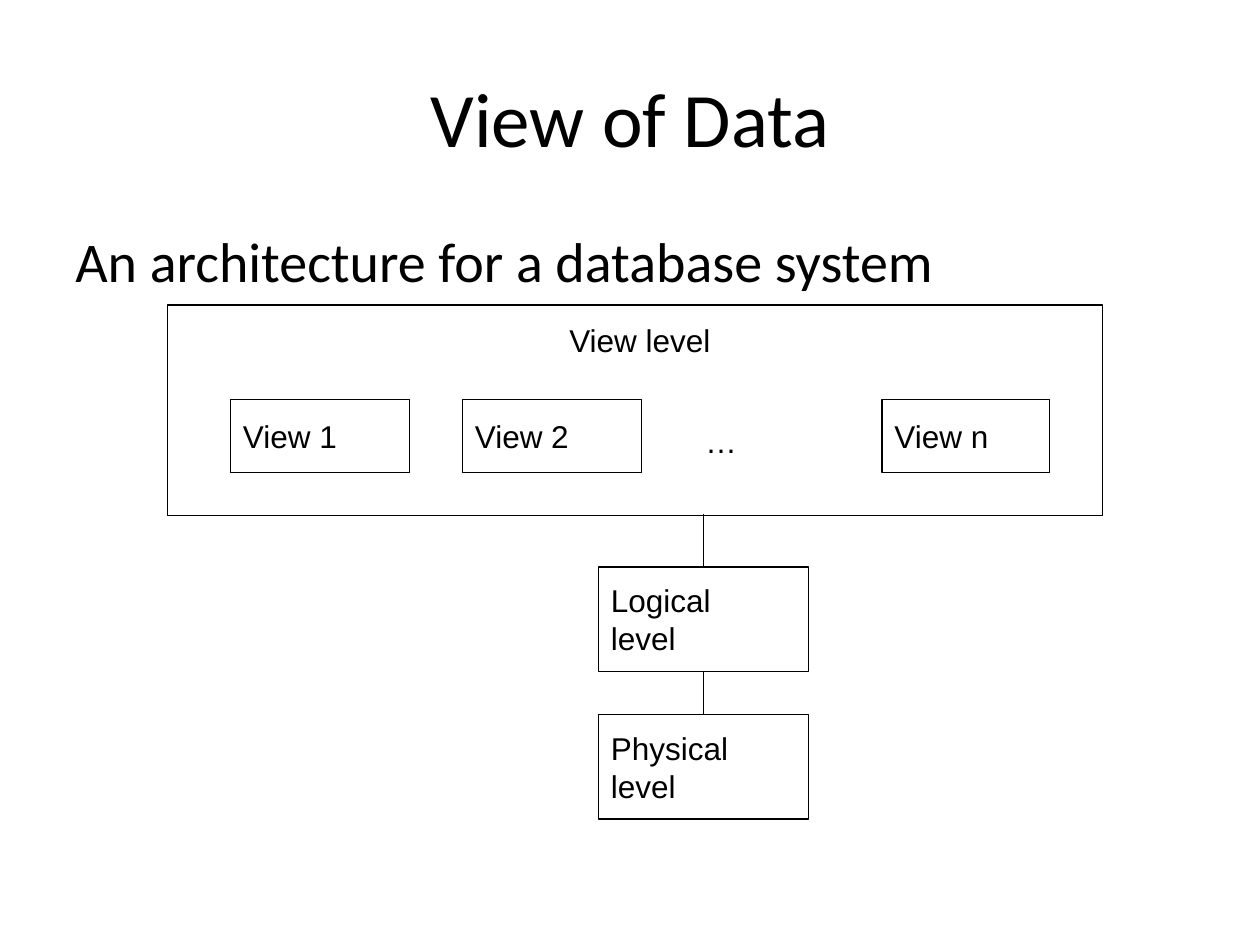
from dataclasses import dataclass

from lxml import etree
from pptx import Presentation
from pptx.dml.color import RGBColor
from pptx.enum import shapes, text
from pptx.oxml import ns
from pptx.util import Inches, Pt


@dataclass(frozen=True)
class Theme:
    """Colours, fonts and sizes of the slide."""
    ink: RGBColor = RGBColor(0, 0, 0)
    head: str = "Calibri"
    label: str = "Arial"
    title: int = 44
    body: int = 32
    small: int = 18
    line: float = 0.75


THEME = Theme()
LEFT, MID = text.PP_ALIGN.LEFT, text.PP_ALIGN.CENTER
TOP, CENTRE = text.MSO_ANCHOR.TOP, text.MSO_ANCHOR.MIDDLE


def write(shape, lines, size=THEME.small, font=THEME.label, align=LEFT, anchor=CENTRE):
    """Fill a shape with lines of text in one style."""
    frame = shape.text_frame
    frame.word_wrap = True
    frame.vertical_anchor = anchor
    frame.text = lines
    for para in frame.paragraphs:
        para.alignment = align
        para.font.size = Pt(size)
        para.font.name = font
        para.font.color.rgb = THEME.ink


def note(slide, box, lines, **style):
    """Add a plain text box."""
    write(slide.shapes.add_textbox(*map(Inches, box)), lines, **style)


def frame(slide, box, lines=""):
    """Add an outlined box with an optional label."""
    rect = slide.shapes.add_shape(shapes.MSO_SHAPE.RECTANGLE, *map(Inches, box))
    rect.shadow.inherit = False
    rect.fill.background()
    rect.line.color.rgb = THEME.ink
    rect.line.width = Pt(THEME.line)
    write(rect, lines)


def link(slide, x, top, end):
    """Add a vertical line between two levels."""
    line = slide.shapes.add_connector(
        shapes.MSO_CONNECTOR.STRAIGHT, *map(Inches, (x, top, x, end)))
    line.line.color.rgb = THEME.ink
    line.line.width = Pt(THEME.line)
    etree.SubElement(line._element.spPr, ns.qn("a:effectLst"))


def heading(slide, box):
    """Place the title and the lead line."""
    x, y, w, h = box
    note(slide, (x, y, w, 1.25), "View of Data",
         size=THEME.title, font=THEME.head, align=MID)
    note(slide, (x, y + 1.45, w, h - 1.45), "An architecture for a database system",
         size=THEME.body, font=THEME.head, anchor=TOP)


def views(slide, box):
    """Place the view level and its row of views."""
    x, y, w, h = box
    frame(slide, box)
    note(slide, (x + 3.09, y + 0.08, 2.33, 0.4), "View level", anchor=TOP)
    for name, left, wide in (("View 1", 0.5, 1.42), ("View 2", 2.34, 1.42),
                             ("View n", 5.67, 1.33)):
        frame(slide, (x + left, y + 0.75, wide, 0.58), name)
    note(slide, (x + 4.17, y + 0.83, 1.17, 0.5), "…")


def levels(slide, box):
    """Place the lower levels, each linked to the one above."""
    x, y, w, h = box
    tall = 0.83
    for name, top, gap in (("Logical", 0.42, 0.42), ("Physical", h - tall, 0.34)):
        link(slide, x + w / 2, y + top - gap, y + top)
        frame(slide, (x, y + top, w, tall), f"{name}\nlevel")


def main():
    """Build and save the slide."""
    deck = Presentation()
    deck.slide_width, deck.slide_height = Inches(10), Inches(7.5)
    slide = deck.slides.add_slide(deck.slide_layouts[6])
    heading(slide, (0.5, 0.3, 9, 6.4))
    views(slide, (1.33, 2.42, 7.42, 1.67))
    levels(slide, (4.75, 4.08, 1.67, 2.42))
    deck.save("out.pptx")


if __name__ == "__main__":
    main()
